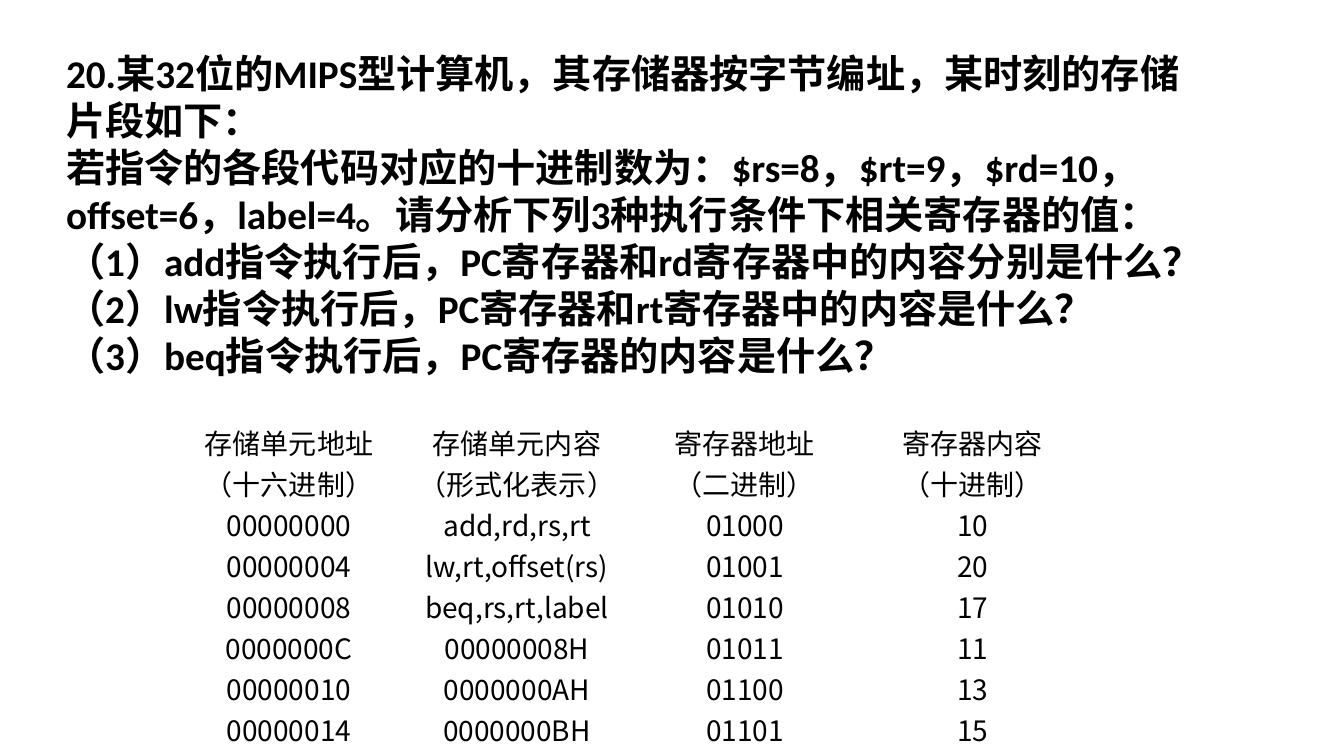
import pptx
import pptx.dml.color
import pptx.enum.text
import pptx.oxml
import pptx.oxml.ns
import pptx.util

TASK = [
    "20.某32位的MIPS型计算机，其存储器按字节编址，某时刻的存储片段如下：",
    "若指令的各段代码对应的十进制数为：$rs=8，$rt=9，$rd=10，offset=6，label=4。请分析下列3种执行条件下相关寄存器的值：",
    "（1）add指令执行后，PC寄存器和rd寄存器中的内容分别是什么？",
    "（2）lw指令执行后，PC寄存器和rt寄存器中的内容是什么？",
    "（3）beq指令执行后，PC寄存器的内容是什么？",
]
ROWS = [
    ("存储单元地址（十六进制）", "存储单元内容（形式化表示）",
     "寄存器地址\n（二进制）", "寄存器内容\n（十进制）"),
    ("00000000", "add,rd,rs,rt", "01000", "10"),
    ("00000004", "lw,rt,offset(rs)", "01001", "20"),
    ("00000008", "beq,rs,rt,label", "01010", "17"),
    ("0000000C", "00000008H", "01011", "11"),
    ("00000010", "0000000AH", "01100", "13"),
    ("00000014", "0000000BH", "01101", "15"),
]
BLACK = pptx.dml.color.RGBColor(0, 0, 0)
ALIGN = pptx.enum.text.PP_ALIGN
SCALE = 914400 / 100.8
WIDE, HIGH = 1344, 756
TASK_BOX = (56, 42, 1168, 343)
LEFT, TOP, COL, LINE = 175, 422, 228, 41
PAD = 7


def px(count):
    return pptx.util.Emu(round(count * SCALE))


def style(frame, face, size, bold, align):
    """Format every run, with one face for Latin and Chinese text."""
    for par in frame.paragraphs:
        par.alignment = align
        for run in par.runs:
            font = run.font
            font.name = face
            font.size = pptx.util.Pt(size)
            font.bold = bold
            font.color.rgb = BLACK
            east = pptx.oxml.parse_xml(
                f'<a:ea {pptx.oxml.ns.nsdecls("a")} typeface="{face}"/>')
            run._r.rPr.find(pptx.oxml.ns.qn("a:latin")).addnext(east)


def add_task(slide):
    title = slide.shapes.title
    title.left, title.top, title.width, title.height = map(px, TASK_BOX)
    frame = title.text_frame
    frame.text = "\n".join(TASK)
    frame.word_wrap = True
    frame.auto_size = pptx.enum.text.MSO_AUTO_SIZE.SHAPE_TO_FIT_TEXT
    frame.vertical_anchor = pptx.enum.text.MSO_ANCHOR.MIDDLE
    style(frame, "Calibri", 28, True, ALIGN.LEFT)
    for par in frame.paragraphs:
        par.line_spacing = pptx.util.Pt(33.6)


def add_grid(slide):
    cols = len(ROWS[0])
    table = slide.shapes.add_table(
        len(ROWS), cols, px(LEFT), px(TOP),
        px(cols * COL), px((len(ROWS) + 1) * LINE)).table
    table.first_row = table.horz_banding = False
    for col in table.columns:
        col.width = px(COL)
    for r, row in enumerate(ROWS):
        table.rows[r].height = px(LINE if r else 2 * LINE)
        for c, text in enumerate(row):
            cell = table.cell(r, c)
            cell.fill.background()
            cell.margin_left = cell.margin_right = px(PAD)
            cell.margin_top = cell.margin_bottom = 0
            cell.text_frame.text = text
            style(cell.text_frame, "Noto Sans CJK SC", 20, False, ALIGN.CENTER)


def main():
    deck = pptx.Presentation()
    deck.slide_width, deck.slide_height = px(WIDE), px(HIGH)
    slide = deck.slides.add_slide(deck.slide_layouts.get_by_name("Title Only"))
    add_grid(slide)
    add_task(slide)
    deck.save("out.pptx")


if __name__ == "__main__":
    main()
